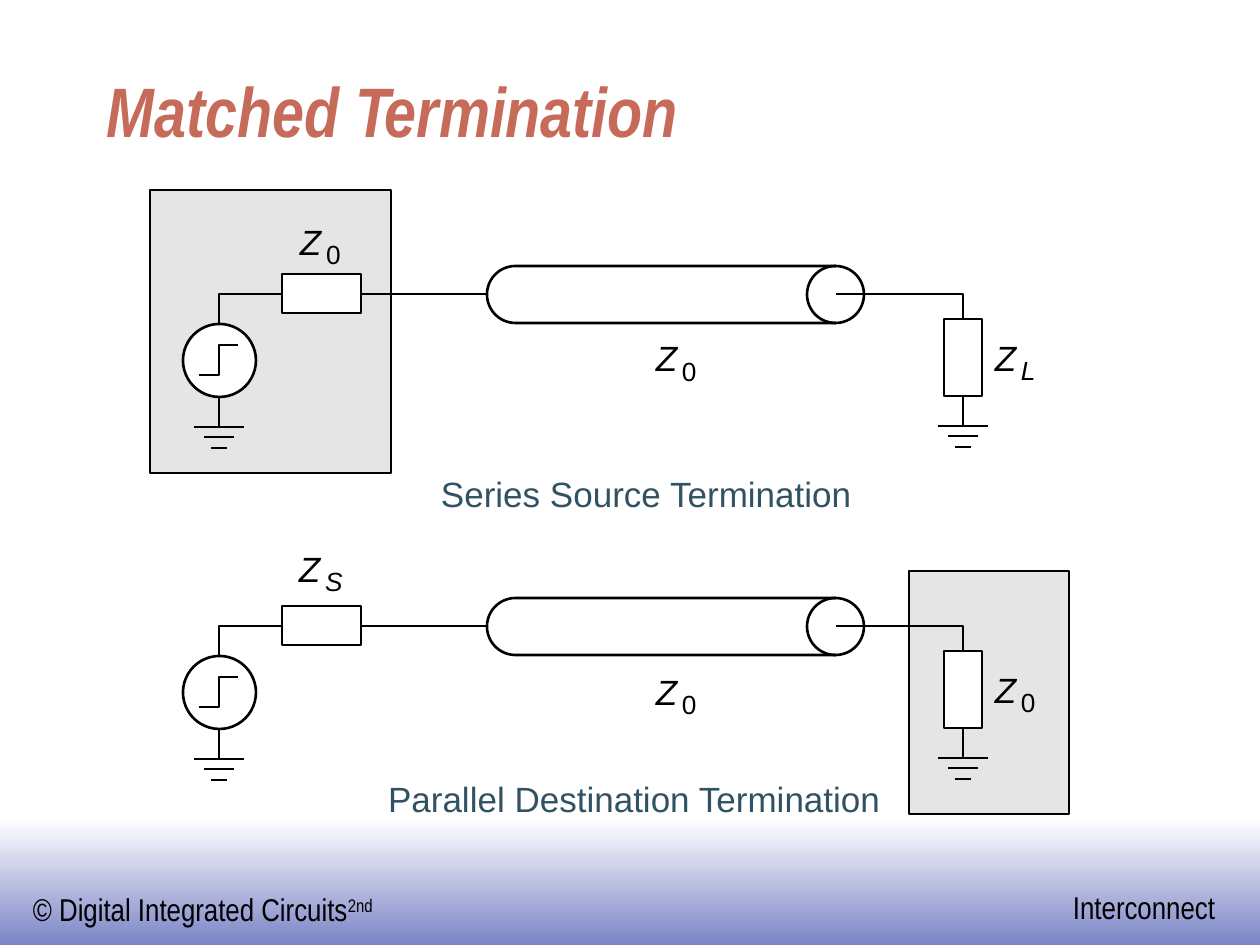
"""Build the Matched Termination slide with its two transmission line circuits."""
from math import cos, pi, sin

from lxml import etree
from pptx import Presentation
from pptx import util as u
from pptx.dml.color import RGBColor
from pptx.enum import shapes, text
from pptx.oxml.ns import qn

PX = 914400 / 126
BLACK = RGBColor(0x00, 0x00, 0x00)
WHITE = RGBColor(0xFF, 0xFF, 0xFF)
GREY = RGBColor(0xE5, 0xE5, 0xE5)
PERIWINKLE = RGBColor(0x7B, 0x84, 0xC6)
BRICK = RGBColor(0xC6, 0x6B, 0x5A)
TEAL = RGBColor(0x31, 0x52, 0x63)
RECT = shapes.MSO_SHAPE.RECTANGLE
OVAL = shapes.MSO_SHAPE.OVAL

deck = Presentation()
deck.slide_width, deck.slide_height = u.Inches(10), u.Inches(7.5)
page = deck.slides.add_slide(deck.slide_layouts[5])


def stroke(points):
    """Draw an open black line through points given in px."""
    ends = [(round(x * PX), round(y * PX)) for x, y in points]
    if len(ends) == 2:
        line = page.shapes.add_connector(shapes.MSO_CONNECTOR.STRAIGHT, *ends[0], *ends[1])
        etree.SubElement(line._element.spPr, qn("a:effectLst"))
    else:
        builder = page.shapes.build_freeform(*ends[0])
        builder.add_line_segments(ends[1:], close=False)
        line = builder.convert_to_shape()
        line.fill.background()
        line.shadow.inherit = False
    line.line.color.rgb = BLACK
    line.line.width = u.Pt(1.5)


def label(place, words, size, face="Arial", color=BLACK, italic=False):
    """Add a one-line text box without insets and return its paragraph."""
    box = page.shapes.add_textbox(*(round(v * PX) for v in place))
    frame = box.text_frame
    layout = {"margin_left": 0, "margin_right": 0, "margin_top": 0, "margin_bottom": 0,
              "word_wrap": False}
    for name, value in layout.items():
        setattr(frame, name, value)
    para = frame.paragraphs[0]
    span = para.add_run()
    span.text = words
    for name, value in {"name": face, "size": u.Pt(size), "italic": italic}.items():
        setattr(span.font, name, value)
    span.font.color.rgb = color
    return para


band = page.shapes.add_shape(RECT, *(round(v * PX) for v in (0, 819, 1260, 126)))
band.shadow.inherit = False
band.line.fill.background()
band.fill.gradient()
band.fill.gradient_angle = 270
for stop, color, position in zip(band.fill.gradient_stops, (WHITE, PERIWINKLE), (0, 1)):
    stop.color.rgb = color
    stop.position = position

credit = label((33, 890, 360, 38), "© Digital Integrated Circuits", 18, "Arial Narrow")
edition = credit.add_run()
edition.text = "2nd"
for name, value in {"name": "Arial Narrow", "size": u.Pt(18)}.items():
    setattr(edition.font, name, value)
edition.font.color.rgb = BLACK
edition.font._element.set("baseline", "30000")
label((1073, 888, 170, 38), "Interconnect", 18, "Arial Narrow")

title = page.shapes.title
title.left, title.top, title.width, title.height = (round(v * PX) for v in (94, 63, 1071, 95))
title.text_frame.text = "Matched Termination"
title.text_frame.vertical_anchor = text.MSO_ANCHOR.BOTTOM
heading = title.text_frame.paragraphs[0]
heading.alignment = text.PP_ALIGN.LEFT
style = {"name": "Arial Narrow", "size": u.Pt(40), "bold": True, "italic": True}
for name, value in style.items():
    setattr(heading.font, name, value)
heading.font.color.rgb = BRICK

PARTS = [
    (RECT, 282, 274, 79, 39),
    (RECT, 944, 319, 38, 77),
    (OVAL, 807, 266, 57, 57),
    (OVAL, 183, 324, 73, 73),
]
WIRES = [
    [(282, 294), (219, 294), (219, 324)],
    [(219, 397), (219, 427)],
    [(361, 294), (487, 294)],
    [(836, 294), (963, 294), (963, 319)],
    [(963, 396), (963, 426)],
    [(238, 345), (219, 345), (219, 375), (199, 375)],
]
for ground_x, ground_y in ((219, 427), (963, 426)):
    for half, drop in ((25, 0), (15, 10), (8, 21)):
        WIRES.append([(ground_x - half, ground_y + drop), (ground_x + half, ground_y + drop)])
RADIUS = 28.5
ARC = [(515.5 - RADIUS * sin(pi * i / 24), 294.5 - RADIUS * cos(pi * i / 24)) for i in range(25)]
WIRES.append([(836, 266), *ARC, (836, 323)])

CIRCUITS = [
    (0, (150, 190, 241, 283), (441, 472, 430, 42), "Series Source Termination",
     [(656, 337, "0"), (995, 336, "L"), (300, 220, "0")]),
    (332, (909, 571, 160, 243), (388, 777, 510, 42), "Parallel Destination Termination",
     [(656, 670, "0"), (995, 668, "0"), (299, 547, "S")]),
]
for shift, panel, place, caption, impedances in CIRCUITS:
    parts = [(kind, x, y + shift, w, h, WHITE) for kind, x, y, w, h in PARTS]
    for kind, *frame, color in [(RECT, *panel, GREY), *parts]:
        part = page.shapes.add_shape(kind, *(round(v * PX) for v in frame))
        part.shadow.inherit = False
        part.fill.solid()
        part.fill.fore_color.rgb = color
        part.line.color.rgb = BLACK
        part.line.width = u.Pt(1.5)
    for wire in WIRES:
        stroke([(x, y + shift) for x, y in wire])
    for x, y, index in impedances:
        label((x, y, 24, 42), "Z", 20, italic=True)
        label((x + 26, y + 18, 22, 32), index, 15, italic=index.isalpha())
    label(place, caption, 20, color=TEAL)

deck.save("out.pptx")
